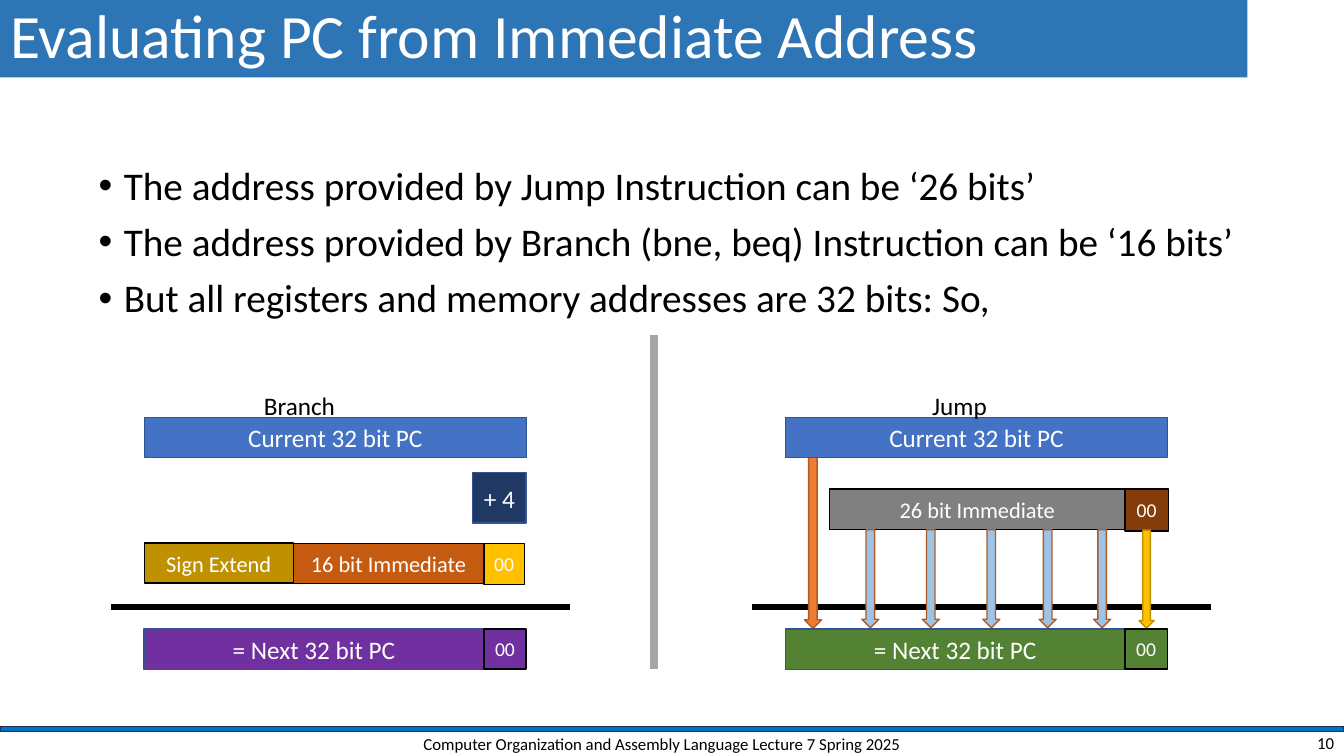
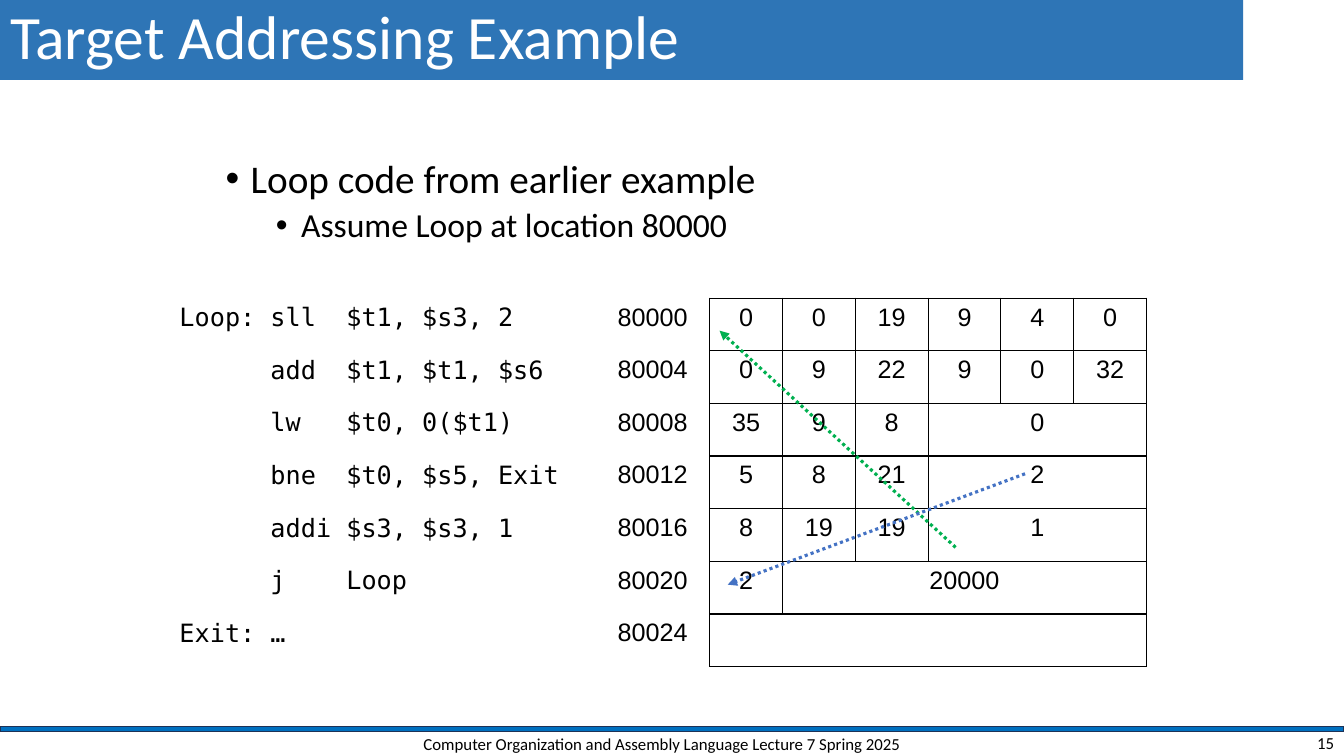
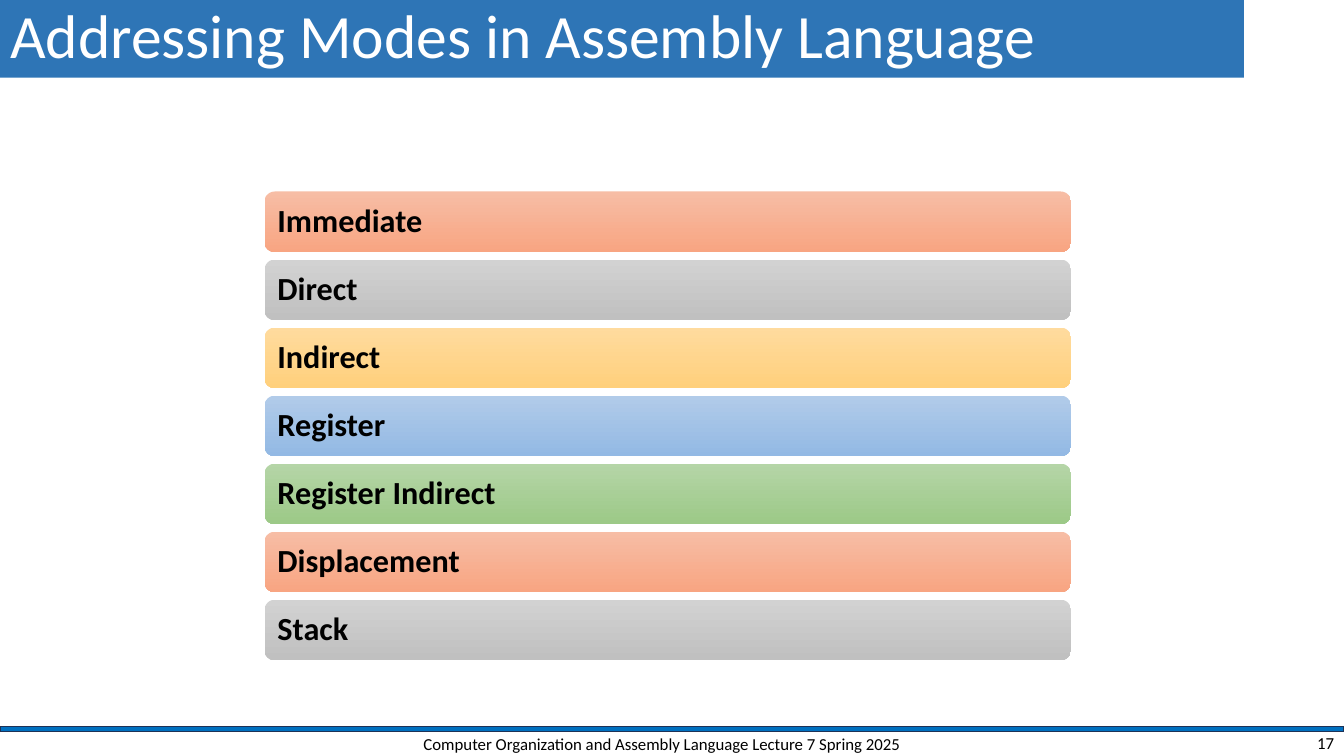
from lxml.etree import SubElement
from pptx import Presentation
from pptx.dml.color import RGBColor
from pptx.enum.dml import MSO_LINE
from pptx.enum.shapes import MSO_CONNECTOR, MSO_SHAPE
from pptx.enum.text import MSO_ANCHOR, MSO_AUTO_SIZE, PP_ALIGN
from pptx.oxml.ns import qn
from pptx.util import Pt

HUES = {
    "white": "FFFFFF", "black": "000000", "band": "2E75B6", "bar": "0070C0",
    "navy": "1E3256", "blue": "4472C4", "edge": "325491", "dark": "203864",
    "rust": "C55A11", "olive": "BF9000", "gold": "FFC000", "ochre": "BD8E00",
    "plum": "7030A0", "gray": "808080", "brown": "843C0B", "green": "548235",
    "orange": "ED7D31", "sienna": "AF5C24", "sky": "9DC3E6",
    "silver": "A5A5A5", "leaf": "00B050",
}
RGB = {name: RGBColor.from_string(code) for name, code in HUES.items()}
LEFT, MID, RIGHT = PP_ALIGN.LEFT, PP_ALIGN.CENTER, PP_ALIGN.RIGHT
RECT, ARROW = MSO_SHAPE.RECTANGLE, MSO_SHAPE.DOWN_ARROW


def write(frame, text, size=18, hue="white", font="Calibri", bold=False,
          align=MID, anchor=MSO_ANCHOR.MIDDLE, space=None, level=None, tabs=()):
    """Add one paragraph; a level gives it a bullet, tabs are stops in points."""
    frame.word_wrap = True
    frame.vertical_anchor = anchor
    para = frame.paragraphs[0]
    if para.runs:
        para = frame.add_paragraph()
    para.alignment = align
    if space:
        para.line_spacing = space
    run = para.add_run()
    run.text = text
    run.font.size = Pt(size)
    run.font.name = font
    run.font.bold = bold
    run.font.color.rgb = RGB[hue]
    props = para._p.get_or_add_pPr()
    if level is not None:
        para.level = level
        para.space_before = Pt(5 if level else 10)
        props.set("marL", str(Pt(18 + 36 * level)))
        props.set("indent", str(Pt(-18)))
        SubElement(props, qn("a:buFont")).set("typeface", "Arial")
        SubElement(props, qn("a:buChar")).set("char", "•")
    if tabs:
        stops = SubElement(props, qn("a:tabLst"))
        for stop in tabs:
            SubElement(stops, qn("a:tab"), pos=str(Pt(stop)), algn="l")


def wire(slide, ends, hue, width, dots=False):
    """Draw a line; a dotted one gets an arrowhead at its end."""
    line = slide.shapes.add_connector(
        MSO_CONNECTOR.STRAIGHT, *[Pt(end) for end in ends])
    line.line.color.rgb = RGB[hue]
    line.line.width = Pt(width)
    if dots:
        line.line.dash_style = MSO_LINE.ROUND_DOT
        SubElement(line.line._get_or_add_ln(), qn("a:tailEnd"), type="triangle")
    SubElement(line._element.spPr, qn("a:effectLst"))


deck = Presentation()
deck.slide_width, deck.slide_height = Pt(960), Pt(540)

# Parts every slide shares: title, bullets, bar and footer
pages = [
    (10, "Evaluating PC from Immediate Address", (0, -0.7, 891, 56),
     (63.4, 115.2, 828, 326), [
         ("The address provided by Jump Instruction can be ‘26 bits’", 0),
         ("The address provided by Branch (bne, beq) Instruction can be ‘16 bits’", 0),
         ("But all registers and memory addresses are 32 bits: So,", 0)]),
    (15, "Target Addressing Example", (0, 0, 888, 57),
     (154, 110.2, 652, 96.5), [
         ("Loop code from earlier example", 0),
         ("Assume Loop at location 80000", 1)]),
    (17, "Addressing Modes in Assembly Language", (0, 0, 888.5, 55.4), None, []),
]
slides = []
for number, head, band, area, points in pages:
    slide = deck.slides.add_slide(deck.slide_layouts[5])
    slides.append(slide)
    title = slide.shapes.title
    title.left, title.top, title.width, title.height = [Pt(n) for n in band]
    title.fill.solid()
    title.fill.fore_color.rgb = RGB["band"]
    title.text_frame.auto_size = MSO_AUTO_SIZE.NONE
    write(title.text_frame, head, size=44, align=LEFT, space=0.9)
    if points:
        body = slide.shapes.add_textbox(*[Pt(n) for n in area])
        for text, level in points:
            write(body.text_frame, text, size=24 if level else 28, hue="black",
                  align=LEFT, anchor=MSO_ANCHOR.TOP, space=0.9, level=level)
    bar = slide.shapes.add_shape(RECT, 0, Pt(519.1), Pt(960), Pt(3.6))
    bar.shadow.inherit = False
    bar.fill.solid()
    bar.fill.fore_color.rgb = RGB["bar"]
    bar.line.color.rgb = RGB["navy"]
    bar.line.width = Pt(1)
    course = "Computer Organization and Assembly Language Lecture 7 Spring 2025"
    for left, width, height, text, align in [
            (282.2, 381.6, 20, course, MID), (744, 216, 18, str(number), RIGHT)]:
        foot = slide.shapes.add_textbox(Pt(left), Pt(521.3), Pt(width), Pt(height))
        write(foot.text_frame, text, size=12, hue="black", align=align)

calc, code, modes = slides

# Branch and jump diagrams
boxes = [
    (RECT, 337.7, 337.7, 38.2, 36, "dark", "edge", "+ 4", 18),
    (RECT, 209.5, 388, 136, 29, "rust", "black", "16 bit Immediate", 16),
    (RECT, 103, 388, 106.5, 28.4, "olive", "black", "Sign Extend", 16),
    (RECT, 345.6, 388, 29, 29.5, "gold", "black", "00", 14),
    (RECT, 592.6, 349.4, 211, 28.8, "gray", "black", "26 bit Immediate", 16),
    (RECT, 803.5, 349.4, 31, 30, "brown", "black", "00", 14),
    (ARROW, 813.6, 378.7, 10.8, 70, "gold", "ochre", "", 0),
    (ARROW, 574.6, 326.2, 12.2, 122.6, "orange", "sienna", "", 0),
]
for left in (615.6, 658.8, 702, 742.3, 781.2):
    boxes.append((ARROW, left, 378.4, 12.2, 70, "sky", "sienna", "", 0))
for left, hue in [(103, "plum"), (561, "green")]:
    wire(calc, (left - 24, 433.4, left + 304, 433.4), "black", 4.5)
    boxes += [
        (RECT, left, 298, 273, 29, "blue", "edge", "Current 32 bit PC", 18),
        (RECT, left, 449.3, 242.6, 29, hue, "edge", "= Next 32 bit PC", 18),
        (RECT, left + 242.6, 449.3, 30.2, 28.5, hue, "black", "00", 14),
    ]
for kind, left, top, width, height, fill, edge, text, size in boxes:
    box = calc.shapes.add_shape(kind, Pt(left), Pt(top), Pt(width), Pt(height))
    box.shadow.inherit = False
    box.fill.solid()
    box.fill.fore_color.rgb = RGB[fill]
    box.line.color.rgb = RGB[edge]
    box.line.width = Pt(1)
    if text:
        write(box.text_frame, text, size=size)
for left, text in [(181.4, "Branch"), (658.8, "Jump")]:
    label = calc.shapes.add_textbox(Pt(left), Pt(275), Pt(80), Pt(29))
    write(label.text_frame, text, hue="black", align=LEFT)
wire(calc, (467.3, 239, 467.3, 478), "silver", 6)

# Machine code table: source line, then fields; the last field fills the row
rows = [
    ("Loop:\tsll\t$t1, $s3, 2", "0 0 19 9 4 0"),
    ("\tadd\t$t1, $t1, $s6", "0 9 22 9 0 32"),
    ("\tlw\t$t0, 0($t1)", "35 9 8 0"),
    ("\tbne\t$t0, $s5, Exit", "5 8 21 2"),
    ("\taddi\t$s3, $s3, 1", "8 19 19 1"),
    ("\tj\tLoop", "2 20000"),
    ("Exit:\t…", ""),
]
grid = code.shapes.add_table(
    len(rows), 8, Pt(121), Pt(213), Pt(698), Pt(263.2)).table
grid.first_row = grid.horz_banding = False
for col, width in zip(grid.columns, [313, 73] + [52] * 6):
    col.width = Pt(width)
for r, (source, fields) in enumerate(rows):
    grid.rows[r].height = Pt(37.6)
    values = [source, str(80000 + 4 * r)] + fields.split()
    for c in range(8):
        cell = grid.cell(r, c)
        cell.fill.background()
        props = cell._tc.get_or_add_tcPr()
        for n, side in enumerate("LRTB"):
            dark = c > 1 or (c == 1 and side == "R")
            edge = SubElement(props, qn("a:ln" + side), w=str(Pt(1)))
            paint = SubElement(edge, qn("a:solidFill"))
            SubElement(paint, qn("a:srgbClr")).set(
                "val", HUES["black" if dark else "white"])
            props.insert(n, edge)
        if c < len(values):
            write(cell.text_frame, values[c], hue="black",
                  font="Arial" if c else "DejaVu Sans Mono",
                  align=MID if c > 1 else LEFT, anchor=MSO_ANCHOR.TOP,
                  tabs=() if c else (65, 119.2))
    last = max(len(values) - 1, 2)
    if last < 7:
        grid.cell(r, last).merge(grid.cell(r, 7))
wire(code, (682.6, 391, 514, 236.2), "leaf", 2.25, dots=True)
wire(code, (732.2, 338.4, 519.8, 417.6), "blue", 2.25, dots=True)

# Stack of addressing modes, colours repeating every five
names = ["Immediate", "Direct", "Indirect", "Register", "Register Indirect",
         "Displacement", "Stack"]
shades = [("F7BDA5", "F8A582"), ("D2D2D2", "C0C0C0"), ("FFDB9E", "FFD07C"),
          ("B1CBE9", "93B9E4"), ("B5D5A7", "9CC987")]
for n, name in enumerate(names):
    mode = modes.shapes.add_shape(MSO_SHAPE.ROUNDED_RECTANGLE, Pt(189),
                                  Pt(136.8 + 48.6 * n), Pt(576), Pt(43.2))
    mode.shadow.inherit = False
    mode.line.fill.background()
    mode.fill.gradient()
    mode.fill.gradient_angle = 270
    for stop, shade in zip(mode.fill.gradient_stops, shades[n % len(shades)]):
        stop.color.rgb = RGBColor.from_string(shade)
    # The rounded corner itself adds about 2 points of inset
    mode.text_frame.margin_left = Pt(7.2)
    write(mode.text_frame, name, size=23, hue="black", bold=True, align=LEFT,
          space=0.9)

deck.save("out.pptx")
